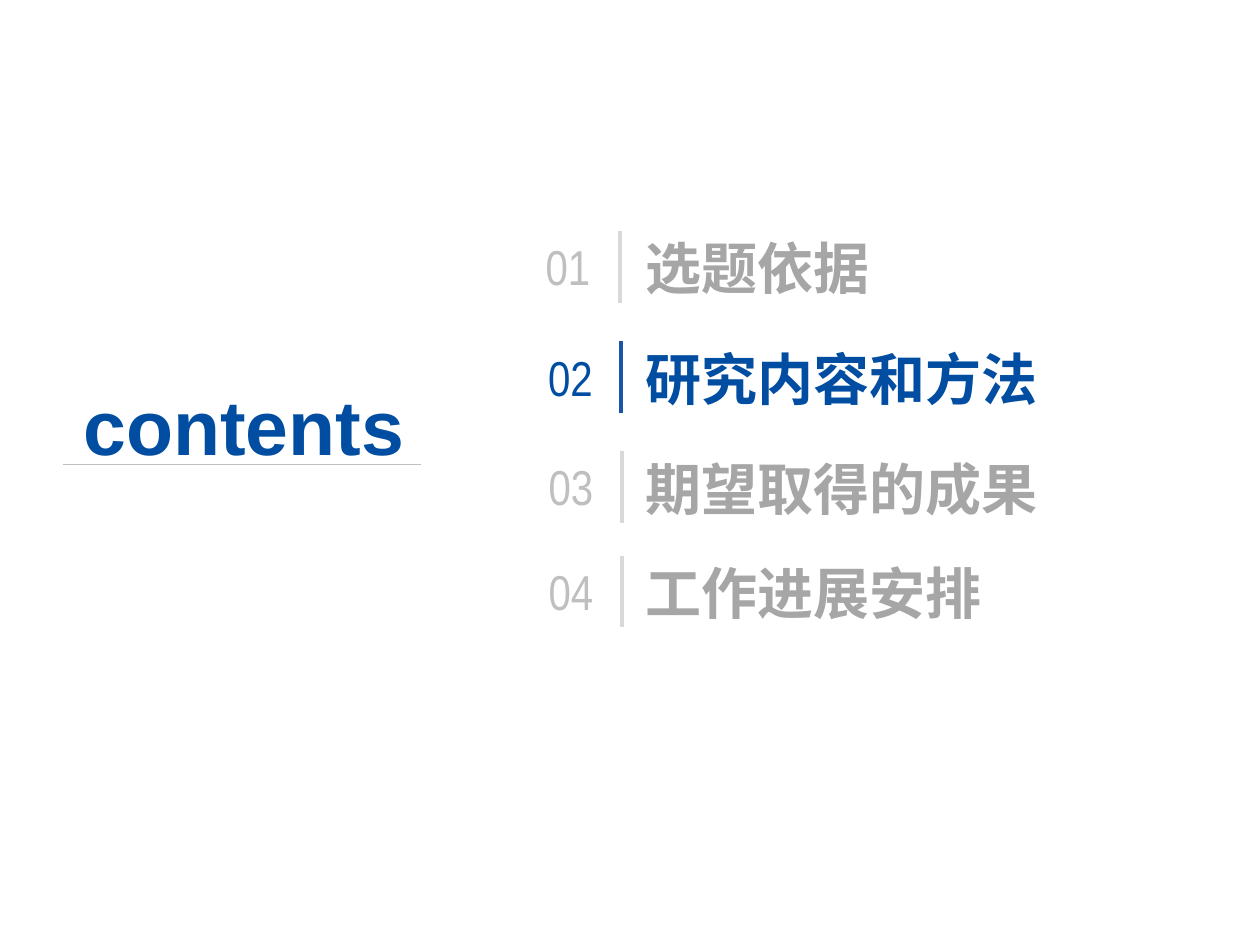
"""Build the contents slide with its second section highlighted."""
import dataclasses

import lxml.etree
import pptx
import pptx.dml.color
import pptx.enum.shapes
import pptx.enum.text
import pptx.oxml.ns
import pptx.util

Cm = pptx.util.Cm
Align = pptx.enum.text.PP_ALIGN
Anchor = pptx.enum.text.MSO_ANCHOR

COLORS = {
    "active": "014DA1",
    "active_rule": "1B55A8",
    "number": "BFBFBF",
    "heading": "A6A6A6",
    "rule": "D9D9D9",
}


@dataclasses.dataclass
class Section:
    heading: str
    top: float
    number_width: float
    rule_left: float
    heading_width: float
    active: bool = False


@dataclasses.dataclass
class TextStyle:
    font: str
    size: float
    color: str
    bold: bool
    align: Align
    anchor: Anchor
    inset: tuple[float, float]


SECTIONS = [
    Section("选题依据", 4.55, 1.3, 12.5, 5.51),
    Section("研究内容和方法", 6.78, 1.4, 12.52, 11.1, active=True),
    Section("期望取得的成果", 8.99, 1.42, 12.53, 9.4),
    Section("工作进展安排", 11.1, 1.42, 12.53, 7.98),
]


def write_text(box, text: str, style: TextStyle) -> None:
    frame = box.text_frame
    frame.text = text
    frame.word_wrap = False
    frame.auto_size = pptx.enum.text.MSO_AUTO_SIZE.NONE
    frame.vertical_anchor = style.anchor
    frame.margin_left = frame.margin_right = Cm(style.inset[0])
    frame.margin_top = frame.margin_bottom = Cm(style.inset[1])
    para = frame.paragraphs[0]
    para.alignment = style.align
    font = para.font
    font.size = pptx.util.Pt(style.size)
    font.bold = style.bold
    font.color.rgb = pptx.dml.color.RGBColor.from_string(COLORS[style.color])
    font.name = style.font
    qn = pptx.oxml.ns.qn
    defaults = para._p.pPr.find(qn("a:defRPr"))
    lxml.etree.SubElement(defaults, qn("a:ea")).set("typeface", style.font)


def add_rule(page, start: tuple[float, float], end: tuple[float, float],
             color: str, width: float) -> None:
    rule = page.shapes.add_connector(
        pptx.enum.shapes.MSO_CONNECTOR.STRAIGHT,
        *(Cm(value) for value in (*start, *end)))
    rule.line.color.rgb = pptx.dml.color.RGBColor.from_string(COLORS[color])
    rule.line.width = pptx.util.Pt(width)
    lxml.etree.SubElement(rule._element.spPr, pptx.oxml.ns.qn("a:effectLst"))


def add_title(page) -> None:
    title = page.shapes.title
    title.left, title.top = Cm(1.43), Cm(7.65)
    title.width, title.height = Cm(7.2), Cm(1.83)
    write_text(title, "contents", TextStyle(
        "Arial", 44, "active", True, Align.LEFT, Anchor.MIDDLE, (0.25, 0.13)))
    add_rule(page, (1.27, 9.37), (8.48, 9.37), "number", 0.5)


def add_section(page, number: int, section: Section) -> None:
    number_box = page.shapes.add_textbox(
        Cm(10.8), Cm(section.top + 0.18), Cm(section.number_width), Cm(1.27))
    write_text(number_box, f"{number:02d}", TextStyle(
        "Arial Narrow", 28, "active" if section.active else "number",
        False, Align.CENTER, Anchor.MIDDLE, (0, 0)))
    rule_top = section.top + 0.1
    add_rule(page, (section.rule_left, rule_top),
             (section.rule_left, rule_top + 1.45),
             "active_rule" if section.active else "rule", 2.25)
    heading_box = page.shapes.add_textbox(
        Cm(12.77), Cm(section.top), Cm(section.heading_width), Cm(1.65))
    write_text(heading_box, section.heading, TextStyle(
        "Noto Sans CJK JP", 32, "active" if section.active else "heading",
        True, Align.LEFT, Anchor.BOTTOM, (0.25, 0.13)))


def main() -> None:
    deck = pptx.Presentation()
    deck.slide_width, deck.slide_height = Cm(25.4), Cm(19.05)
    page = deck.slides.add_slide(deck.slide_layouts.get_by_name("Title Only"))
    add_title(page)
    for number, section in enumerate(SECTIONS, start=1):
        add_section(page, number, section)
    deck.save("out.pptx")


if __name__ == "__main__":
    main()
